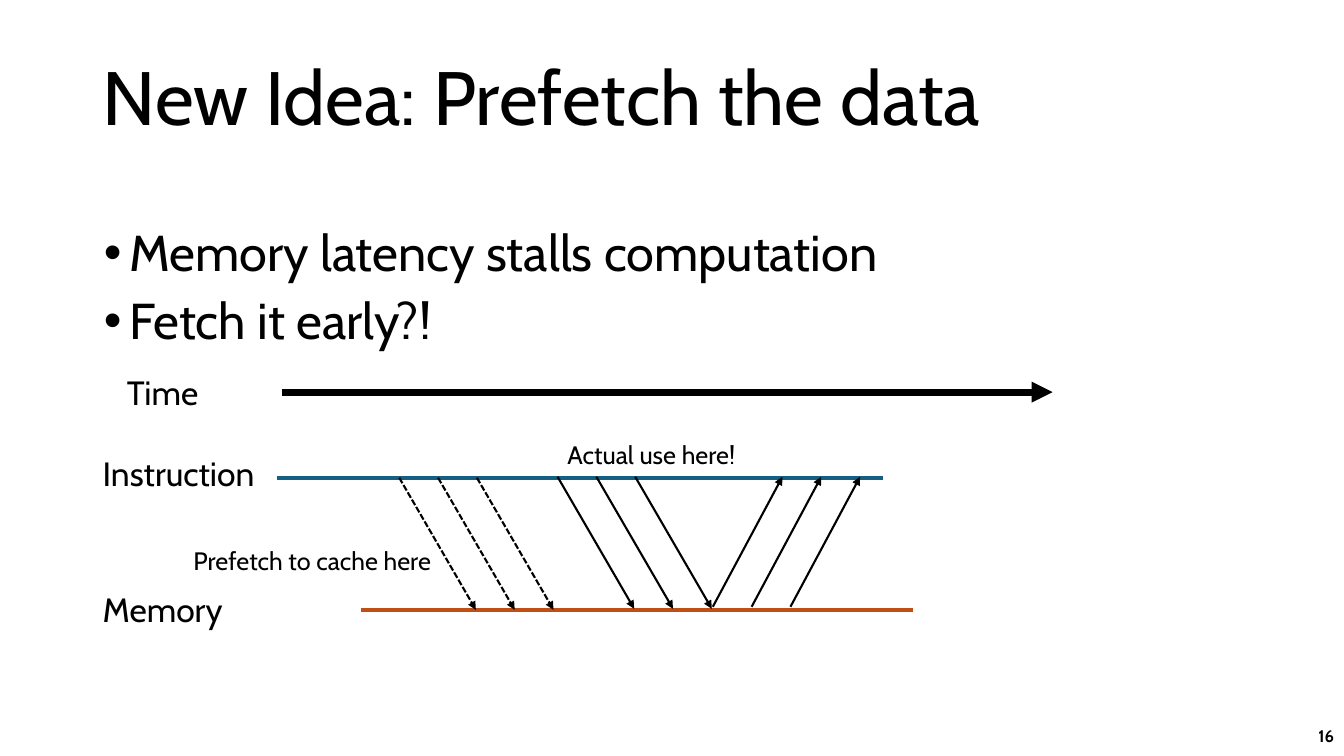
from dataclasses import dataclass

import pptx
import pptx.dml.color
import pptx.enum.dml
import pptx.enum.shapes
import pptx.enum.text
import pptx.oxml.ns
import pptx.util
from lxml import etree

Inches = pptx.util.Inches
Pt = pptx.util.Pt
Align = pptx.enum.text.PP_ALIGN
Anchor = pptx.enum.text.MSO_ANCHOR
AutoSize = pptx.enum.text.MSO_AUTO_SIZE
qn = pptx.oxml.ns.qn

BLACK = "000000"
BODY_INDENT = 0.25


@dataclass
class Label:
    text: str
    left: float
    top: float
    width: float
    height: float
    size: float


@dataclass
class Line:
    x1: float
    y1: float
    x2: float
    y2: float
    color: str = BLACK
    width: float = 1.5
    dashed: bool = False
    arrow: bool = True


@dataclass
class ArrowGroup:
    x: float
    y1: float
    y2: float
    dx: float
    dashed: bool = False


LABELS = [
    Label("Time", 1.16, 3.64, 0.91, 0.5, 24),
    Label("Instruction", 0.92, 4.44, 1.78, 0.5, 24),
    Label("Memory", 0.92, 5.79, 1.39, 0.5, 24),
    Label("Prefetch to cache here", 1.82, 5.36, 2.65, 0.4, 18),
    Label("Actual use here!", 5.53, 4.31, 1.96, 0.4, 18),
]
TIMELINES = [
    Line(2.8, 3.89, 10.44, 3.89, width=5),
    Line(2.75, 4.74, 8.76, 4.74, "156082", 3, arrow=False),
    Line(3.58, 6.05, 9.06, 6.05, "C04F15", 3, arrow=False),
]
ARROWS_PER_GROUP = 3
ARROW_STEP = 0.385
ARROW_GROUPS = [
    ArrowGroup(3.96, 4.74, 6.05, 0.76, dashed=True),  # prefetches
    ArrowGroup(5.53, 4.73, 6.04, 0.76),  # loads
    ArrowGroup(7.07, 6.02, 4.73, 0.69),  # returned data
]


def rgb(color: str) -> pptx.dml.color.RGBColor:
    return pptx.dml.color.RGBColor.from_string(color)


def apply(target, formats: dict) -> None:
    for name, value in formats.items():
        setattr(target, name, value)


def place(sp, left: float, top: float, width: float, height: float) -> None:
    apply(sp, {"left": Inches(left), "top": Inches(top),
               "width": Inches(width), "height": Inches(height)})


def write(p, text: str, size: float, bold: bool = False) -> None:
    r = p.add_run()
    r.text = text
    apply(r.font, {"name": "Cabin", "size": Pt(size), "bold": bold})
    r.font.color.rgb = rgb(BLACK)


def add_bullet(p) -> None:
    pPr = p._p.get_or_add_pPr()
    pPr.set("marL", str(Inches(BODY_INDENT)))
    pPr.set("indent", str(-Inches(BODY_INDENT)))
    etree.SubElement(pPr, qn("a:buFont")).set("typeface", "Arial")
    etree.SubElement(pPr, qn("a:buChar")).set("char", "•")


def add_label(s, label: Label) -> None:
    sp = s.shapes.add_textbox(0, 0, 0, 0)
    place(sp, label.left, label.top, label.width, label.height)
    apply(sp.text_frame, {"word_wrap": False,
                          "auto_size": AutoSize.SHAPE_TO_FIT_TEXT})
    write(sp.text_frame.paragraphs[0], label.text, label.size)


def add_line(s, line: Line) -> None:
    sp = s.shapes.add_connector(
        pptx.enum.shapes.MSO_CONNECTOR.STRAIGHT,
        Inches(line.x1), Inches(line.y1), Inches(line.x2), Inches(line.y2))
    sp.line.color.rgb = rgb(line.color)
    sp.line.width = Pt(line.width)
    if line.dashed:
        sp.line.dash_style = pptx.enum.dml.MSO_LINE.SQUARE_DOT
    if line.arrow:
        ln = sp.line._get_or_add_ln()
        etree.SubElement(ln, qn("a:tailEnd")).set("type", "triangle")
    etree.SubElement(sp._element.spPr, qn("a:effectLst"))


def main() -> None:
    prs = pptx.Presentation()
    apply(prs, {"slide_width": Inches(13.33), "slide_height": Inches(7.5)})
    s = prs.slides.add_slide(prs.slide_layouts[1])

    # Title
    title = s.shapes.title
    place(title, 0.92, 0.18, 11.18, 1.65)
    apply(title.text_frame, {"vertical_anchor": Anchor.MIDDLE, "word_wrap": True,
                             "auto_size": AutoSize.NONE})
    p = title.text_frame.paragraphs[0]
    apply(p, {"alignment": Align.LEFT, "line_spacing": 0.9})
    write(p, "New Idea: Prefetch the data", 54)

    # Bullet list
    body = s.placeholders[1]
    place(body, 0.93, 2.21, 11.5, 2.02)
    tf = body.text_frame
    apply(tf, {"word_wrap": True, "auto_size": AutoSize.NONE})
    for i, text in enumerate(["Memory latency stalls computation",
                              "Fetch it early?!"]):
        p = tf.add_paragraph() if i else tf.paragraphs[0]
        add_bullet(p)
        apply(p, {"line_spacing": 0.9, "space_before": Pt(10 if i else 0)})
        write(p, text, 36)

    # Timelines and memory accesses
    for line in TIMELINES:
        add_line(s, line)
    for group in ARROW_GROUPS:
        for i in range(ARROWS_PER_GROUP):
            x = group.x + i * ARROW_STEP
            add_line(s, Line(x, group.y1, x + group.dx, group.y2,
                             dashed=group.dashed))
    for label in LABELS:
        add_label(s, label)

    # Slide number
    number = s.shapes.add_textbox(0, 0, 0, 0)
    place(number, 10.33, 7.1, 3, 0.4)
    apply(number.text_frame, {"vertical_anchor": Anchor.MIDDLE, "word_wrap": True})
    p = number.text_frame.paragraphs[0]
    p.alignment = Align.RIGHT
    write(p, "16", 12, bold=True)

    prs.save("out.pptx")


if __name__ == "__main__":
    main()
